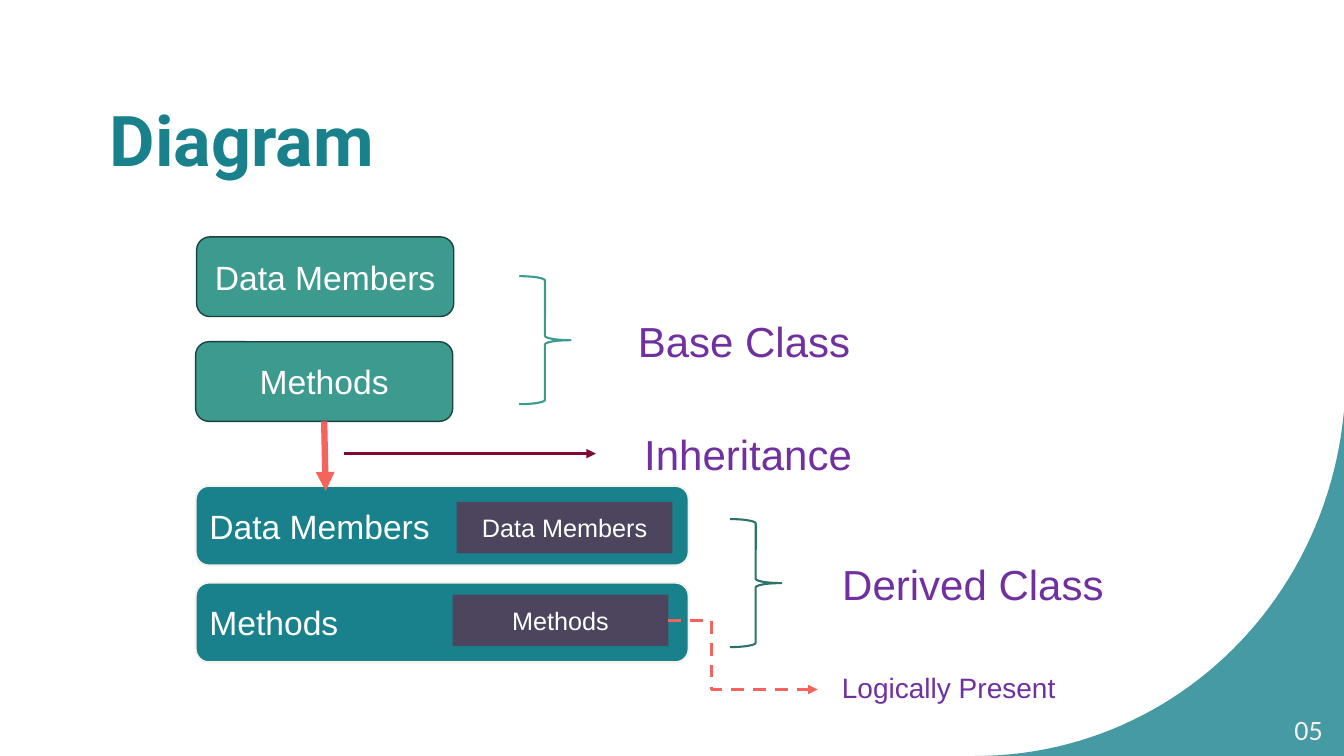
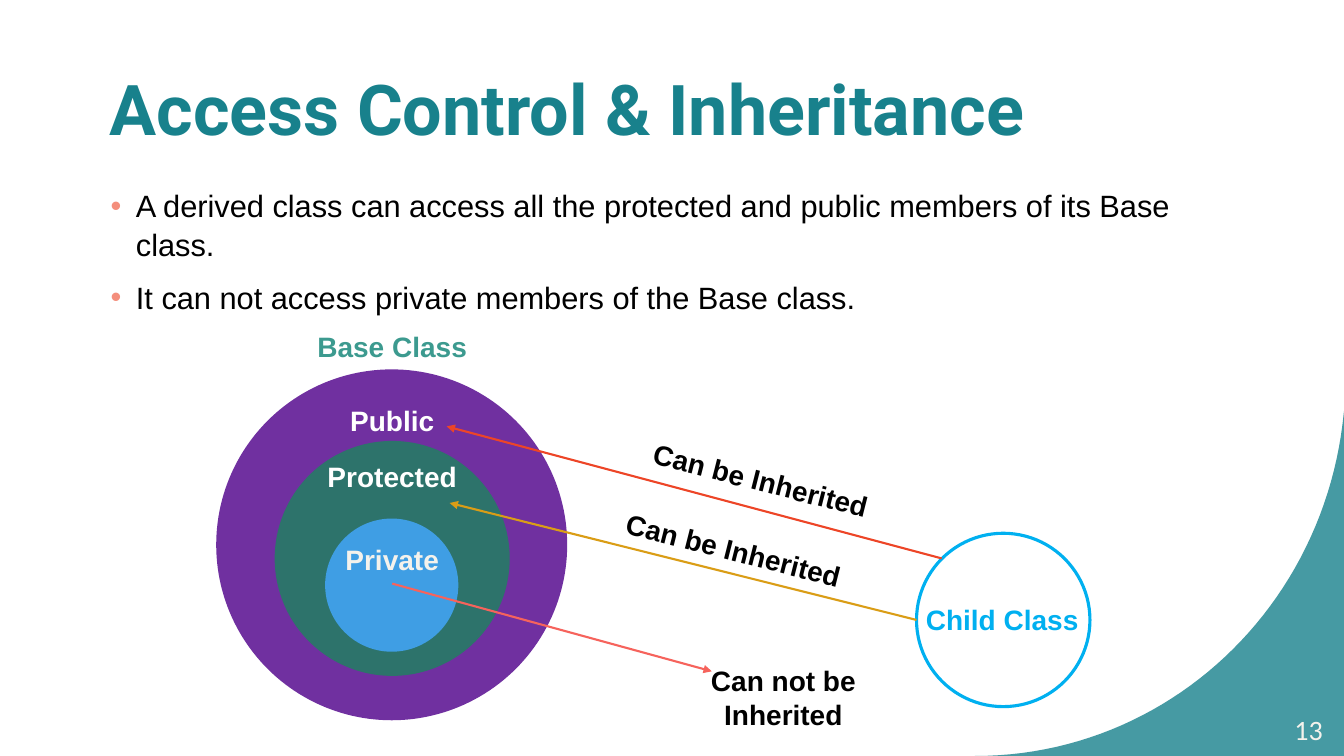
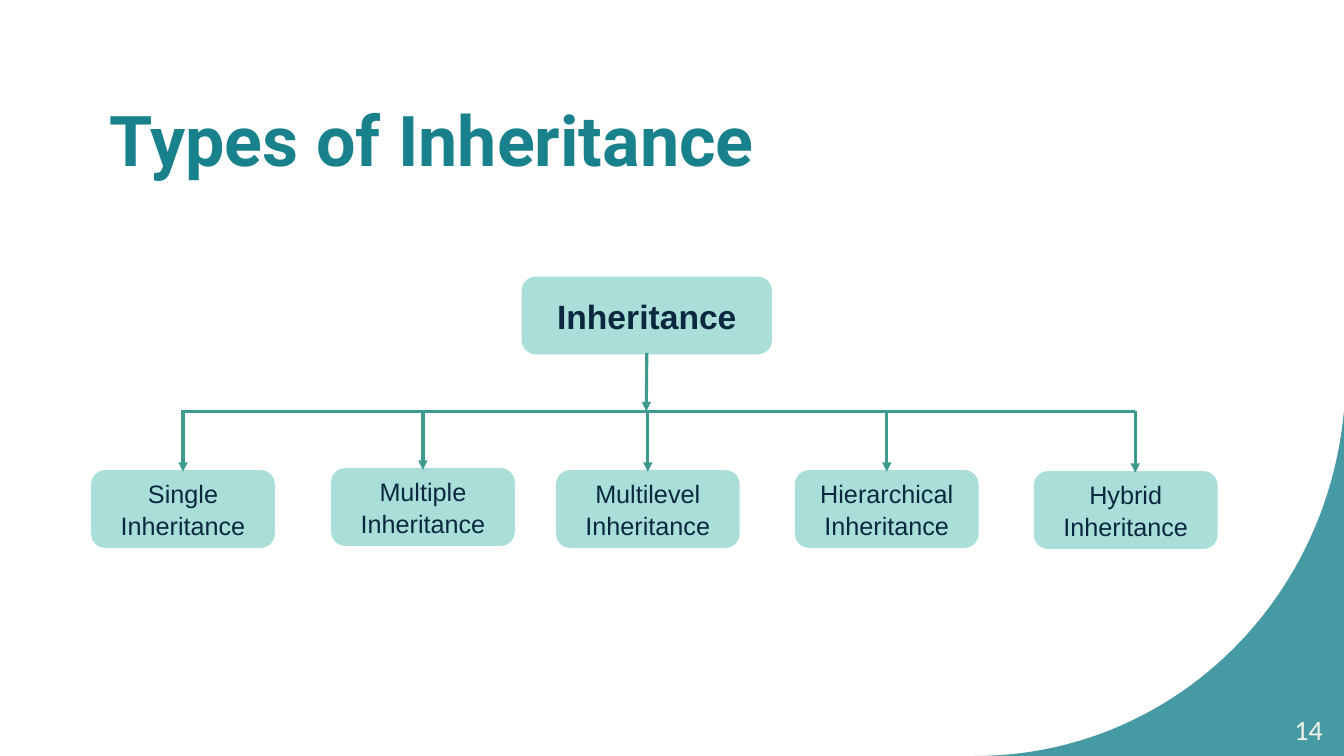
from dataclasses import dataclass
from typing import NamedTuple, Optional

from lxml import etree
from pptx import Presentation
from pptx.dml.color import RGBColor
from pptx.enum import dml, shapes, text
from pptx.oxml.ns import qn
from pptx.shapes.autoshape import Shape
from pptx.shapes.connector import Connector
from pptx.slide import Slide
from pptx.util import Inches, Pt

TEAL = RGBColor(0x18, 0x81, 0x8C)
GREEN = RGBColor(0x3C, 0x9A, 0x8F)
DEEP_GREEN = RGBColor(0x2D, 0x73, 0x6B)
DARK_GREEN = RGBColor(0x1A, 0x43, 0x3F)
MINT = RGBColor(0xAA, 0xDE, 0xD8)
NAVY = RGBColor(0x09, 0x28, 0x3F)
PURPLE = RGBColor(0x70, 0x30, 0xA0)
WINE = RGBColor(0x80, 0x0A, 0x2F)
CORAL = RGBColor(0xF6, 0x63, 0x5C)
SALMON = RGBColor(0xF4, 0x8E, 0x7C)
RED = RGBColor(0xED, 0x45, 0x27)
GOLD = RGBColor(0xDA, 0x9D, 0x16)
BLUE = RGBColor(0x3F, 0x9E, 0xE4)
SKY = RGBColor(0x00, 0xB0, 0xF0)
CREAM = RGBColor(0xF4, 0xF2, 0xEC)
WHITE = RGBColor(0xFF, 0xFF, 0xFF)
BLACK = RGBColor(0, 0, 0)

KIND = shapes.MSO_SHAPE
LEFT, CENTER, RIGHT = text.PP_ALIGN.LEFT, text.PP_ALIGN.CENTER, text.PP_ALIGN.RIGHT
SLIDE_W, SLIDE_H = 13.33, 7.5


class Box(NamedTuple):
    x: float
    y: float
    w: float
    h: float


class Point(NamedTuple):
    x: float
    y: float


@dataclass(frozen=True)
class Font:
    size: float
    color: RGBColor
    bold: bool = False
    name: str = "Arial"


@dataclass(frozen=True)
class Stroke:
    color: RGBColor
    width: float


@dataclass(frozen=True)
class Branch:
    label: str
    x: float
    y: float = 4.68
    arrow_x: Optional[float] = None


TITLE = Font(50, TEAL, True, "Roboto")
PAGE_NUMBER = Font(20, CREAM, name="Calibri")
BODY = Font(22, BLACK)
LABEL = Font(30, PURPLE)
BOX = Font(24, WHITE)
SMALL_BOX = Font(18, WHITE)


def write(sp: Shape, lines: list[str], font: Font, align: text.PP_ALIGN = CENTER,
          anchor: text.MSO_ANCHOR = text.MSO_ANCHOR.MIDDLE) -> None:
    tf = sp.text_frame
    tf.word_wrap = True
    tf.vertical_anchor = anchor
    for i, line in enumerate(lines):
        p = tf.paragraphs[0] if i == 0 else tf.add_paragraph()
        p.alignment = align
        r = p.add_run()
        r.text = line
        r.font.name = font.name
        r.font.size = Pt(font.size)
        r.font.bold = font.bold
        r.font.color.rgb = font.color


def add_label(slide: Slide, box: Box, label: str, font: Font,
              align: text.PP_ALIGN = CENTER, rotation: float = 0) -> Shape:
    sp = slide.shapes.add_textbox(*map(Inches, box))
    sp.rotation = rotation
    write(sp, [label], font, align)
    return sp


def paint(sp: Shape, fill: Optional[RGBColor], stroke: Optional[Stroke],
          opacity: int = 100) -> None:
    sp.shadow.inherit = False
    if fill is None:
        sp.fill.background()
    else:
        sp.fill.solid()
        sp.fill.fore_color.rgb = fill
        if opacity < 100:
            color = sp.element.spPr.find(qn("a:solidFill")).find(qn("a:srgbClr"))
            etree.SubElement(color, qn("a:alpha"), val=str(opacity * 1000))
    if stroke is None:
        sp.line.fill.background()
    else:
        sp.line.color.rgb = stroke.color
        sp.line.width = Pt(stroke.width)


def add_figure(slide: Slide, kind: shapes.MSO_SHAPE, box: Box, fill: Optional[RGBColor] = None,
               stroke: Optional[Stroke] = None, opacity: int = 100) -> Shape:
    sp = slide.shapes.add_shape(kind, *map(Inches, box))
    paint(sp, fill, stroke, opacity)
    return sp


def add_line(slide: Slide, start: Point, end: Point, stroke: Stroke, arrow: bool = True,
             source: Optional[Shape] = None, source_site: int = 2,
             target: Optional[Shape] = None, bend: Optional[float] = None,
             dash: Optional[dml.MSO_LINE] = None) -> Connector:
    """Draw a line; bend turns it into an elbow at that share of its width."""
    kind = shapes.MSO_CONNECTOR.STRAIGHT if bend is None else shapes.MSO_CONNECTOR.ELBOW
    line = slide.shapes.add_connector(kind, *map(Inches, (*start, *end)))
    if source is not None:
        line.begin_connect(source, source_site)
    if target is not None:
        line.end_connect(target, 0)
    line.line.color.rgb = stroke.color
    line.line.width = Pt(stroke.width)
    if dash is not None:
        line.line.dash_style = dash
    props = line.element.spPr
    if bend is not None:
        guides = props.find(qn("a:prstGeom")).get_or_add_avLst()
        etree.SubElement(guides, qn("a:gd"), name="adj1", fmla=f"val {round(bend * 100000)}")
    if arrow:
        etree.SubElement(props.find(qn("a:ln")), qn("a:tailEnd"), type="triangle")
    etree.SubElement(props, qn("a:effectLst"))
    return line


def bezier(a: Point, b: Point, c: Point, d: Point, steps: int = 48) -> list[Point]:
    points = []
    for i in range(steps + 1):
        t = i / steps
        weights = ((1 - t) ** 3, 3 * t * (1 - t) ** 2, 3 * t * t * (1 - t), t ** 3)
        points.append(Point(sum(k * p.x for k, p in zip(weights, (a, b, c, d))),
                            sum(k * p.y for k, p in zip(weights, (a, b, c, d)))))
    return points


def add_corner(slide: Slide) -> None:
    curve = bezier(Point(9.67, SLIDE_H), Point(11.58, SLIDE_H),
                   Point(13.15, 6.02), Point(SLIDE_W, 4.08))
    outline = [(Inches(p.x), Inches(p.y)) for p in [*curve, Point(SLIDE_W, SLIDE_H)]]
    builder = slide.shapes.build_freeform(*outline[0])
    builder.add_line_segments(outline[1:], close=True)
    paint(builder.convert_to_shape(), TEAL, None, 80)


def start_slide(prs: Presentation, title: str, number: str, title_y: float = 0.65) -> Slide:
    """Add a slide with the corner, title and page number that all slides share."""
    slide = prs.slides.add_slide(prs.slide_layouts[6])
    add_corner(slide)
    add_label(slide, Box(0.99, title_y, 10.84, 1.45), title, TITLE, LEFT)
    add_label(slide, Box(12.46, 7.04, 0.76, 0.4), number, PAGE_NUMBER, RIGHT)
    return slide


def add_bullets(slide: Slide, box: Box, lines: list[str]) -> None:
    sp = slide.shapes.add_textbox(*map(Inches, box))
    write(sp, lines, BODY, LEFT, text.MSO_ANCHOR.TOP)
    for p in sp.text_frame.paragraphs:
        p.space_before = Pt(10)
        p.line_spacing = 1.05
        props = p._p.get_or_add_pPr()
        props.set("marL", str(Inches(0.25)))
        props.set("indent", str(-Inches(0.25)))
        color = etree.SubElement(props, qn("a:buClr"))
        etree.SubElement(color, qn("a:srgbClr"), val=str(SALMON))
        etree.SubElement(props, qn("a:buFont"), typeface="Arial")
        etree.SubElement(props, qn("a:buChar"), char="•")


def build_diagram(prs: Presentation) -> None:
    slide = start_slide(prs, "Diagram", "05")
    members = ("Data Members", "Methods")

    for name, x, y in zip(members, (1.95, 1.94), (2.35, 3.39)):
        base = add_figure(slide, KIND.ROUNDED_RECTANGLE, Box(x, y, 2.55, 0.79),
                          GREEN, Stroke(DARK_GREEN, 1))
        write(base, [name], BOX)
    for name, y in zip(members, (4.82, 5.78)):
        derived = add_figure(slide, KIND.ROUNDED_RECTANGLE, Box(1.94, y, 4.89, 0.79),
                             TEAL, Stroke(CREAM, 1.5))
        write(derived, [name], BOX, LEFT)
    for name, x, y in zip(members, (4.53, 4.49), (4.98, 5.9)):
        inherited = add_figure(slide, KIND.RECTANGLE, Box(x, y, 2.14, 0.51), WINE, opacity=50)
        write(inherited, [name], SMALL_BOX)

    for x, y, color in ((5.15, 2.74, GREEN), (7.24, 5.15, DEEP_GREEN)):
        add_figure(slide, KIND.RIGHT_BRACE, Box(x, y, 0.51, 1.27), stroke=Stroke(color, 1.5))

    add_line(slide, Point(3.21, 4.18), Point(3.23, 4.87), Stroke(CORAL, 4.5), source=base)
    add_line(slide, Point(3.41, 4.5), Point(5.91, 4.5), Stroke(WINE, 2.25))
    add_line(slide, Point(6.63, 6.16), Point(8.11, 6.84), Stroke(CORAL, 2.25),
             source=inherited, source_site=3, bend=0.29, dash=dml.MSO_LINE.DASH)

    for label, x, y, w, font in (
        ("Base Class", 6.11, 3.01, 2.54, LABEL),
        ("Inheritance", 6.15, 4.13, 2.54, LABEL),
        ("Derived Class", 8.22, 5.42, 2.86, LABEL),
        ("Logically Present", 8.19, 6.45, 2.44, Font(20, PURPLE)),
    ):
        add_label(slide, Box(x, y, w, 0.74), label, font)


def build_access_control(prs: Presentation) -> None:
    slide = start_slide(prs, "Access Control & Inheritance", "13", 0.34)
    add_bullets(slide, Box(1, 1.79, 10.84, 5.5), [
        "A derived class can access all the protected and public members of its Base class.",
        "It can not access private members of the Base class.",
    ])

    for x, y, size, fill, edge in (
        (2.16, 3.68, 3.45, PURPLE, PURPLE),
        (2.74, 4.39, 2.3, DEEP_GREEN, DEEP_GREEN),
        (3.24, 5.16, 1.29, BLUE, BLUE),
        (9.09, 5.29, 1.72, None, SKY),
    ):
        add_figure(slide, KIND.OVAL, Box(x, y, size, size), fill, Stroke(edge, 2.25))

    for start, end, color in (
        (Point(9.34, 5.54), Point(4.43, 4.23), RED),
        (Point(9.09, 6.15), Point(4.46, 4.99), GOLD),
        (Point(3.89, 5.79), Point(7.06, 6.66), CORAL),
    ):
        add_line(slide, start, end, Stroke(color, 1.5))

    for label, x, y, w, color, rotation in (
        ("Base Class", 2.92, 3.18, 1.94, GREEN, 0),
        ("Public", 2.92, 3.91, 1.94, WHITE, 0),
        ("Protected", 2.92, 4.47, 1.94, WHITE, 0),
        ("Private", 2.92, 5.29, 1.94, CREAM, 0),
        ("Child Class", 8.97, 5.89, 1.94, SKY, 0),
        ("Can not be Inherited", 6.73, 6.66, 2.08, BLACK, 0),
        ("Can be Inherited", 5.55, 5.2, 3.45, BLACK, 14.3),
        ("Can be Inherited", 5.82, 4.51, 3.45, BLACK, 14.3),
    ):
        add_label(slide, Box(x, y, w, 0.51), label, Font(20, color, True), rotation=rotation)


def build_types(prs: Presentation) -> None:
    slide = start_slide(prs, "Types of Inheritance", "14")
    stroke = Stroke(GREEN, 2.25)
    rail_y, rail_left, rail_right = 4.08, 1.8, 11.26
    box_w, box_h = 1.79, 0.74

    def add_node(box: Box, label: str, font: Font) -> Shape:
        node = add_figure(slide, KIND.ROUNDED_RECTANGLE, box, MINT, Stroke(MINT, 2.25))
        write(node, [label], font)
        node.text_frame.paragraphs[0].line_spacing = 1.05
        return node

    root = add_node(Box(5.19, 2.76, 2.45, box_h), "Inheritance", Font(24, NAVY, True))
    add_line(slide, Point(6.41, 3.5), Point(6.41, rail_y), stroke, source=root)
    add_line(slide, Point(rail_left, rail_y), Point(rail_right, rail_y), stroke, arrow=False)

    for branch in (
        Branch("Single Inheritance", 0.92),
        Branch("Multiple Inheritance", 3.3, 4.66),
        Branch("Multilevel Inheritance", 5.53),
        Branch("Hierarchical Inheritance", 7.9),
        Branch("Hybrid Inheritance", 10.27, 4.69, rail_right),
    ):
        node = add_node(Box(branch.x, branch.y, box_w, box_h), branch.label, Font(18, NAVY))
        centered = branch.arrow_x is None
        x = branch.x + box_w / 2 if centered else branch.arrow_x
        add_line(slide, Point(x, rail_y), Point(x, branch.y), stroke,
                 target=node if centered else None)


def main() -> None:
    prs = Presentation()
    prs.slide_width = Inches(SLIDE_W)
    prs.slide_height = Inches(SLIDE_H)
    build_diagram(prs)
    build_access_control(prs)
    build_types(prs)
    prs.save("out.pptx")


if __name__ == "__main__":
    main()
